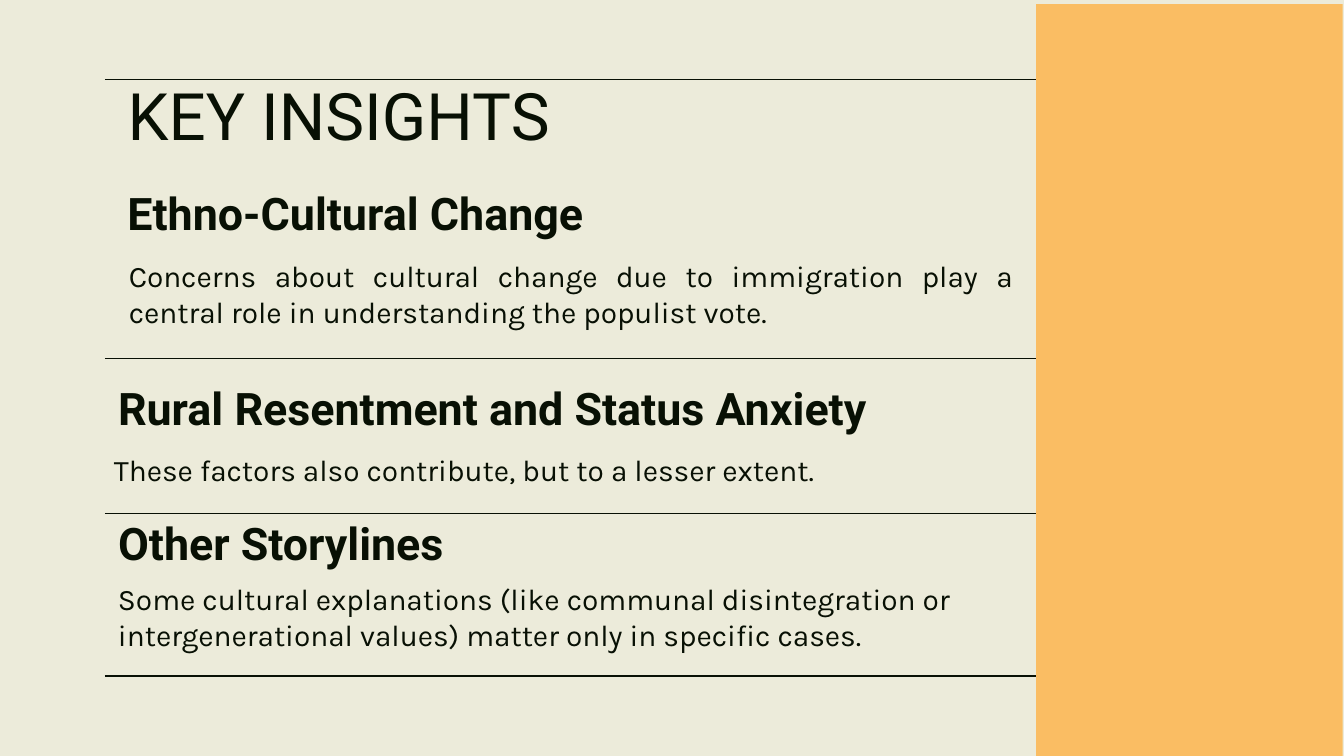
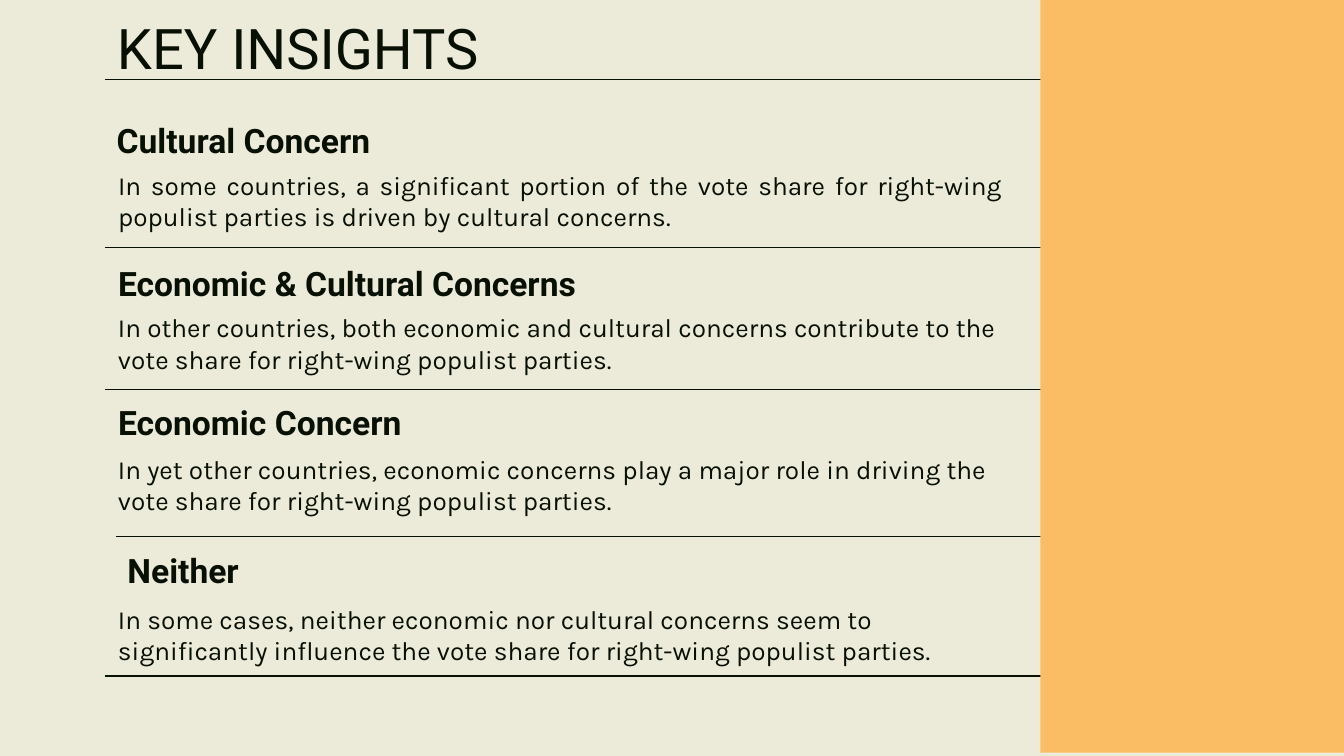
from lxml.etree import SubElement
from pptx import Presentation
from pptx.dml.color import RGBColor
from pptx.enum.shapes import MSO_CONNECTOR, MSO_SHAPE
from pptx.enum.text import MSO_ANCHOR, MSO_AUTO_SIZE, PP_ALIGN
from pptx.oxml.ns import qn
from pptx.util import Inches, Pt

INK = RGBColor(0x08, 0x10, 0x04)
CREAM = RGBColor(0xEC, 0xEB, 0xDA)
AMBER = RGBColor(0xFA, 0xBD, 0x63)
LEFT, RULE = 0.78, 8.44
BAND = 2.28
EDGES = (0.59, 5.03)


def write(frame, text, font="Karla", size=16, bold=False,
          align=PP_ALIGN.LEFT, anchor=MSO_ANCHOR.TOP):
    frame.word_wrap = True
    frame.auto_size = MSO_AUTO_SIZE.NONE
    frame.vertical_anchor = anchor
    frame.margin_left = frame.margin_right = Inches(0.1)
    frame.margin_top = frame.margin_bottom = Inches(0.1)
    frame.text = text
    para = frame.paragraphs[0]
    para.alignment = align
    style = para.runs[0].font
    style.name, style.size, style.bold = font, Pt(size), bold
    style.color.rgb = INK


class Deck:
    def __init__(self):
        self.prs = Presentation()
        self.prs.slide_width = Inches(10)
        self.prs.slide_height = Inches(5.625)
        fill = self.prs.slide_master.background.fill
        fill.solid()
        fill.fore_color.rgb = CREAM
        self.slide = None

    def start(self, title, box, size):
        self.slide = self.prs.slides.add_slide(self.prs.slide_layouts[5])
        holder = self.slide.shapes.title
        holder.left, holder.top, holder.width, holder.height = map(Inches, box)
        write(holder.text_frame, title, font="Roboto", size=size,
              anchor=MSO_ANCHOR.BOTTOM)
        for y in EDGES:
            self.rule(y)

    def rule(self, y, left=LEFT):
        line = self.slide.shapes.add_connector(
            MSO_CONNECTOR.STRAIGHT, Inches(left), Inches(y),
            Inches(left + RULE), Inches(y))
        line.line.color.rgb = INK
        line.line.width = Pt(0.75)
        SubElement(line._element.spPr, qn("a:effectLst"))

    def text(self, text, box, **form):
        shape = self.slide.shapes.add_textbox(*map(Inches, box))
        write(shape.text_frame, text, **form)

    def head(self, text, box, size):
        self.text(text, box, font="Roboto", size=size, bold=True,
                  anchor=MSO_ANCHOR.BOTTOM)

    def points(self, items, head, body):
        for index, (name, place, words, area) in enumerate(items):
            self.head(name, place, head)
            align = PP_ALIGN.LEFT if index else PP_ALIGN.JUSTIFY
            self.text(words, area, size=body, align=align)

    def band(self, left, top):
        shape = self.slide.shapes.add_shape(
            MSO_SHAPE.RECTANGLE, Inches(left), Inches(top),
            Inches(BAND), Inches(5.62))
        shape.shadow.inherit = False
        shape.fill.solid()
        shape.fill.fore_color.rgb = AMBER
        shape.line.fill.background()


CAUSES = [
    ("Ethno-Cultural Change", (0.85, 1.25, 5.56, 0.63),
     "Concerns about cultural change due to immigration play a central role "
     "in understanding the populist vote.", (0.86, 1.82, 6.78, 0.63)),
    ("Rural Resentment and Status Anxiety", (LEFT, 2.7, 6.78, 0.63),
     "These factors also contribute, but to a lesser extent.",
     (0.75, 3.26, 6.64, 0.41)),
    ("Other Storylines", (LEFT, 3.93, 4.08, 0.41),
     "Some cultural explanations (like communal disintegration or "
     "intergenerational values) matter only in specific cases.",
     (LEFT, 4.22, 6.93, 0.84)),
]
GROUPS = [
    ("Cultural Concern", (0.77, 0.66, 5.56, 0.63),
     "In some countries, a significant portion of the vote share for "
     "right-wing populist parties is driven by cultural concerns.",
     (LEFT, 1.16, 6.78, 0.41)),
    ("Economic & Cultural Concerns", (LEFT, 1.95, 6.78, 0.41),
     "In other countries, both economic and cultural concerns contribute to "
     "the vote share for right-wing populist parties.",
     (LEFT, 2.22, 6.93, 0.63)),
    ("Economic Concern", (LEFT, 3.01, 4.08, 0.38),
     "In yet other countries, economic concerns play a major role in driving "
     "the vote share for right-wing populist parties.",
     (LEFT, 3.27, 6.93, 0.41)),
    ("Neither", (0.85, 3.86, 5.56, 0.63),
     "In some cases, neither economic nor cultural concerns seem to "
     "significantly influence the vote share for right-wing populist parties.",
     (LEFT, 4.39, 6.93, 0.63)),
]


def main():
    deck = Deck()

    deck.start("KEY INSIGHTS", (0.85, 0.83, 6.78, 0.41), 35)
    deck.points(CAUSES, head=24, body=16)
    for y in (2.67, 3.82):
        deck.rule(y)
    deck.band(7.71, 0.03)

    deck.start("KEY INSIGHTS", (0.77, 0.29, 6.78, 0.41), 30)
    deck.points(GROUPS, head=18, body=14)
    for y in (1.84, 2.9):
        deck.rule(y)
    deck.rule(3.99, left=0.86)
    deck.band(7.74, -0.02)

    deck.prs.save("out.pptx")


if __name__ == "__main__":
    main()
